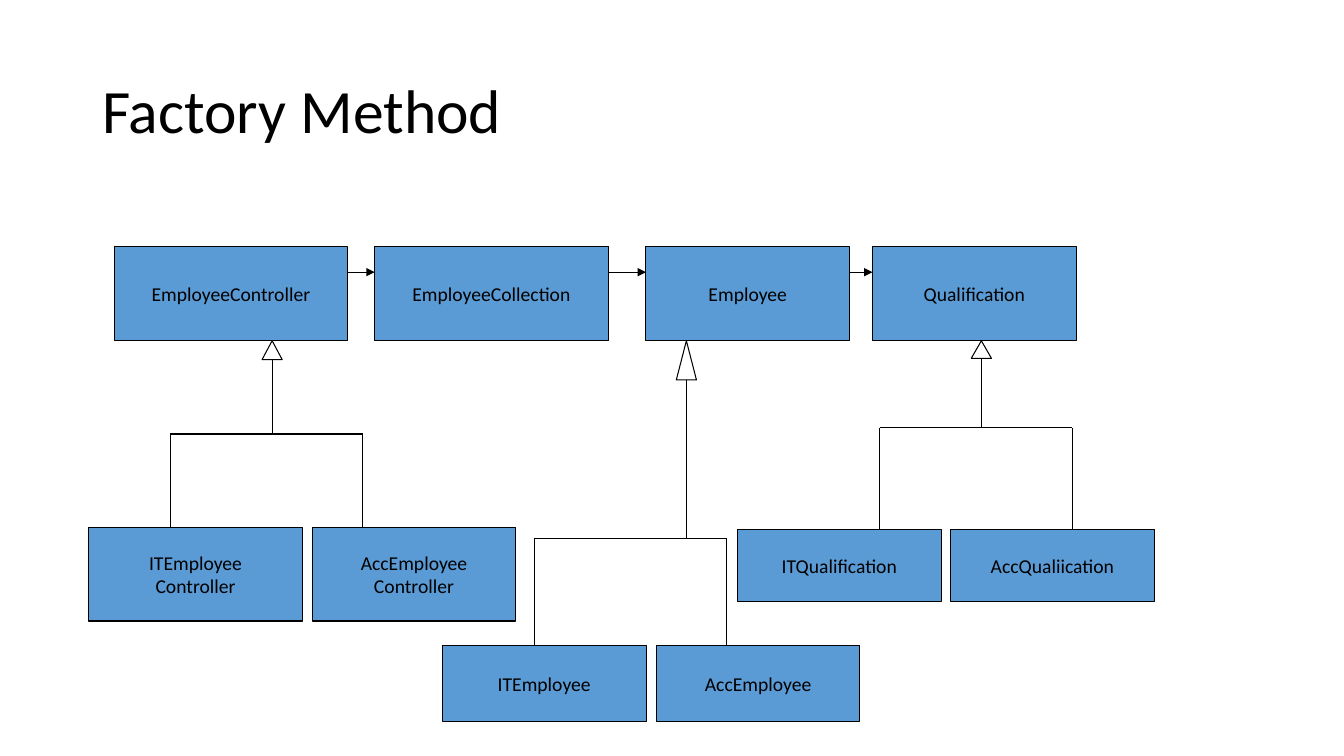
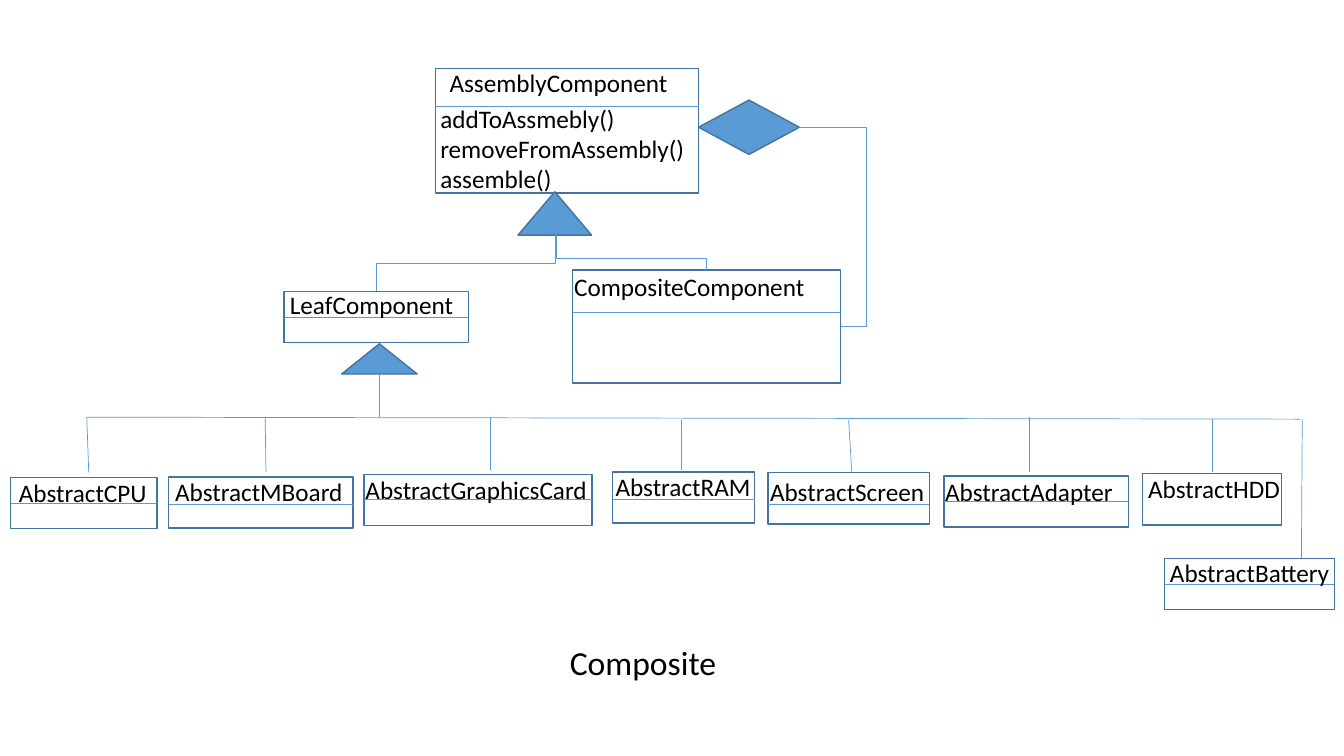
from collections import namedtuple

from lxml.etree import SubElement
from pptx import Presentation
from pptx.dml.color import RGBColor
from pptx.enum.shapes import MSO_CONNECTOR, MSO_SHAPE
from pptx.enum.text import MSO_ANCHOR, PP_ALIGN
from pptx.oxml.ns import qn
from pptx.util import Pt

# Shared look
BLACK = RGBColor(0x00, 0x00, 0x00)
WHITE = RGBColor(0xFF, 0xFF, 0xFF)
BLUE = RGBColor(0x5B, 0x9B, 0xD5)
DARK_BLUE = RGBColor(0x43, 0x73, 0x9E)
FONT = "Calibri"
BLACK_LINE = (BLACK, 0.75)
BLUE_LINE = (BLUE, 0.5)
OUTLINE = (DARK_BLUE, 1)

TITLE_FRAME = {"word_wrap": True, "vertical_anchor": MSO_ANCHOR.MIDDLE}
BOX_FRAME = {"word_wrap": False, "vertical_anchor": MSO_ANCHOR.MIDDLE}
LABEL_FRAME = {"word_wrap": True, "vertical_anchor": MSO_ANCHOR.TOP}
TITLE_PARAGRAPH = {"alignment": PP_ALIGN.LEFT, "line_spacing": 0.9}
LEFT_PARAGRAPH = {"alignment": PP_ALIGN.LEFT}
CENTRED_PARAGRAPH = {"alignment": PP_ALIGN.CENTER}

# Factory Method: the row of classes and the families below it
ROW_TOP, ROW_HEIGHT, ASSOCIATION_Y = 176.4, 67, 194.4
CHILD_WIDTH, DROP_SPAN, ARROW_WIDTH = 145.5, 137.5, 14.4
CLASS_ROW = [  # name, left, width
    ("EmployeeController", 81.5, 167),
    ("EmployeeCollection", 267.6, 167),
    ("Employee", 461.4, 145.5),
    ("Qualification", 623.2, 145.5),
]
Family = namedtuple("Family", "apex arrow_height bar_y bar_left top height children")
FAMILIES = [
    Family(701, 12.5, 305.5, 628.5, 378, 51.8,
           [("ITQualification", 526.8, CHILD_WIDTH), ("AccQualiication", 679, CHILD_WIDTH)]),
    Family(490.3, 28, 385, 381.6, 460.8, 54.5,
           [("ITEmployee", 316, CHILD_WIDTH), ("AccEmployee", 468.8, CHILD_WIDTH)]),
    Family(194.4, 13.5, 310, 121.7, 376.6, 67,
           [("ITEmployee\nController", 63.2, 153), ("AccEmployee\nController", 223, CHILD_WIDTH)]),
]

# Composite: classes with a divider, and the drops from the bus line
LEAF_HEIGHT = 36.6
ClassBox = namedtuple("ClassBox", "name left top width height divider_y label_left label_top")
CLASSES = [
    ClassBox("AssemblyComponent", 311, 49, 188, 89, 76.3, 314, 44.6),
    ClassBox("CompositeComponent", 409, 193, 191.5, 80.5, 223.2, 403, 190),
    ClassBox("LeafComponent", 203, 208.2, 131.5, LEAF_HEIGHT, 226.8, 200, 203),
    ClassBox("AbstractCPU", 7.6, 341, 104.5, LEAF_HEIGHT, 359.3, 6.4, 337.6),
    ClassBox("AbstractMBoard", 120.4, 340.6, 131.8, LEAF_HEIGHT, 360, 118, 337),
    ClassBox("AbstractGraphicsCard", 260, 339, 162.8, LEAF_HEIGHT, 357, 254, 335.5),
    ClassBox("AbstractRAM", 437.6, 337, 101.5, LEAF_HEIGHT, 357, 432.6, 332.8),
    ClassBox("AbstractScreen", 548.5, 337.6, 115.4, LEAF_HEIGHT, 360, 543, 337),
    ClassBox("AbstractAdapter", 674.4, 340, 131.6, LEAF_HEIGHT, 358.4, 668, 337),
    ClassBox("AbstractHDD", 816, 338.4, 99.6, LEAF_HEIGHT, None, 813, 334.2),
    ClassBox("AbstractBattery", 832, 399, 121.2, LEAF_HEIGHT, 417.5, 828.6, 394.6),
]
DROPS = [
    ((62, 298), (63.4, 337.5)),
    ((189.4, 298), (190, 337)),
    ((350, 298), (350, 335.5)),
    ((486.8, 300), (486.8, 335.5)),
    ((606.2, 300), (608.4, 337)),
    ((735.2, 298), (735.2, 337)),
    ((866.2, 299.5), (866.2, 337)),
    ((930.2, 300), (929.6, 399.5)),
]


def apply_format(target, values):
    for attribute, value in values.items():
        setattr(target, attribute, value)


def write(shape, text, size, frame_format, paragraph_format):
    frame = shape.text_frame
    frame.text = text
    apply_format(frame, frame_format)
    for paragraph in frame.paragraphs:
        apply_format(paragraph, paragraph_format)
        for run in paragraph.runs:
            apply_format(run.font, {"name": FONT, "size": Pt(size)})
            run.font.color.rgb = BLACK


def add_label(slide, text, area, size=18, frame=LABEL_FRAME, paragraph=LEFT_PARAGRAPH):
    label = slide.shapes.add_textbox(*map(Pt, area))
    write(label, text, size, frame, paragraph)


def add_figure(slide, preset, area, fill, outline):
    figure = slide.shapes.add_shape(preset, *map(Pt, area))
    figure.shadow.inherit = False
    if fill is None:
        figure.fill.background()
    else:
        figure.fill.solid()
        figure.fill.fore_color.rgb = fill
    figure.line.color.rgb, figure.line.width = outline[0], Pt(outline[1])
    return figure


def add_box(slide, text, area):
    box = add_figure(slide, MSO_SHAPE.RECTANGLE, area, BLUE, BLACK_LINE)
    write(box, text, 14, BOX_FRAME, CENTRED_PARAGRAPH)


def add_line(slide, start, end, stroke, kind=MSO_CONNECTOR.STRAIGHT, arrow=False):
    line = slide.shapes.add_connector(kind, *map(Pt, (*start, *end)))
    line.line.color.rgb, line.line.width = stroke[0], Pt(stroke[1])
    if arrow:
        SubElement(line.line._get_or_add_ln(), qn("a:tailEnd"), type="triangle")
    SubElement(line._element.spPr, qn("a:effectLst"))
    return line


def add_elbow(slide, start, end, bend, downward=False):
    """Bent line; a downward one leaves vertically, so its frame is turned."""
    rotation = 0
    if downward:
        (x1, y1), (x2, y2) = start, end
        side = 1 if x2 < x1 else -1
        mid_x, mid_y = (x1 + x2) / 2, (y1 + y2) / 2
        half_run, half_rise = side * (y2 - y1) / 2, abs(x2 - x1) / 2
        start = (mid_x - half_run, mid_y - half_rise)
        end = (mid_x + half_run, mid_y + half_rise)
        rotation = 90 if side == 1 else 270
    elbow = add_line(slide, start, end, BLUE_LINE, MSO_CONNECTOR.ELBOW)
    properties = elbow._element.spPr
    properties.find(qn("a:xfrm")).set("rot", str(rotation * 60000))
    adjustments = properties.find(qn("a:prstGeom")).get_or_add_avLst()
    SubElement(adjustments, qn("a:gd"), name="adj1", fmla=f"val {round(bend * 100000)}")


def add_family(slide, family):
    """Child classes joined to a parent by a hollow inheritance arrow."""
    for name, left, width in family.children:
        add_box(slide, name, (left, family.top, width, family.height))
    parent_bottom = ROW_TOP + ROW_HEIGHT
    bar_right = family.bar_left + DROP_SPAN
    arrow_base = parent_bottom + family.arrow_height
    add_line(slide, (family.apex, arrow_base), (family.apex, family.bar_y), BLACK_LINE)
    arrow_area = (family.apex - ARROW_WIDTH / 2, parent_bottom, ARROW_WIDTH, family.arrow_height)
    add_figure(slide, MSO_SHAPE.ISOSCELES_TRIANGLE, arrow_area, WHITE, BLACK_LINE)
    add_line(slide, (family.bar_left, family.bar_y), (bar_right, family.bar_y), BLACK_LINE)
    for x in (family.bar_left, bar_right):
        add_line(slide, (x, family.bar_y), (x, family.top), BLACK_LINE)


def add_class(slide, item):
    area = (item.left, item.top, item.width, item.height)
    add_figure(slide, MSO_SHAPE.RECTANGLE, area, None, OUTLINE)
    if item.divider_y is not None:
        right = item.left + item.width
        add_line(slide, (item.left, item.divider_y), (right, item.divider_y), BLUE_LINE)
    add_label(slide, item.name, (item.label_left, item.label_top, item.width + 15, 29))


def build_factory_method(slide):
    add_label(slide, "Factory Method", (66, 29, 828, 104.4), 44, TITLE_FRAME, TITLE_PARAGRAPH)
    for name, left, width in CLASS_ROW:
        add_box(slide, name, (left, ROW_TOP, width, ROW_HEIGHT))
    # Associations between neighbours
    for (_, left, width), (_, next_left, _) in zip(CLASS_ROW, CLASS_ROW[1:]):
        add_line(slide, (left + width, ASSOCIATION_Y), (next_left, ASSOCIATION_Y),
                 BLACK_LINE, arrow=True)
    for family in FAMILIES:
        add_family(slide, family)


def build_composite(slide):
    for item in CLASSES:
        add_class(slide, item)
    add_label(slide, "addToAssmebly()\nremoveFromAssembly()\nassemble()", (307.4, 70, 209.5, 73))
    add_label(slide, "Composite", (224.6, 455, 469.4, 36), 24, paragraph=CENTRED_PARAGRAPH)

    # Inheritance arrows and the aggregation diamond
    for preset, area in (
        (MSO_SHAPE.ISOSCELES_TRIANGLE, (370, 137, 52.6, 31)),
        (MSO_SHAPE.ISOSCELES_TRIANGLE, (244, 245.6, 54, 21.6)),
        (MSO_SHAPE.DIAMOND, (499, 71.5, 72, 38.8)),
    ):
        add_figure(slide, preset, area, BLUE, OUTLINE)
    add_elbow(slide, (396.6, 168), (268.6, 208), 0.5, downward=True)
    add_elbow(slide, (397.4, 144), (504.6, 193), 0.83, downward=True)
    add_elbow(slide, (571, 90.8), (600.5, 233.2), 1.62)

    # Bus line with its stem and drops
    add_line(slide, (62, 298), (928.8, 299.4), BLUE_LINE)
    add_line(slide, (270.8, 267), (270.8, 298), BLUE_LINE)
    for start, end in DROPS:
        add_line(slide, start, end, BLUE_LINE)


def main():
    deck = Presentation()
    apply_format(deck, {"slide_width": Pt(960), "slide_height": Pt(540)})
    for build in (build_factory_method, build_composite):
        build(deck.slides.add_slide(deck.slide_layouts[6]))
    deck.save("out.pptx")


if __name__ == "__main__":
    main()
